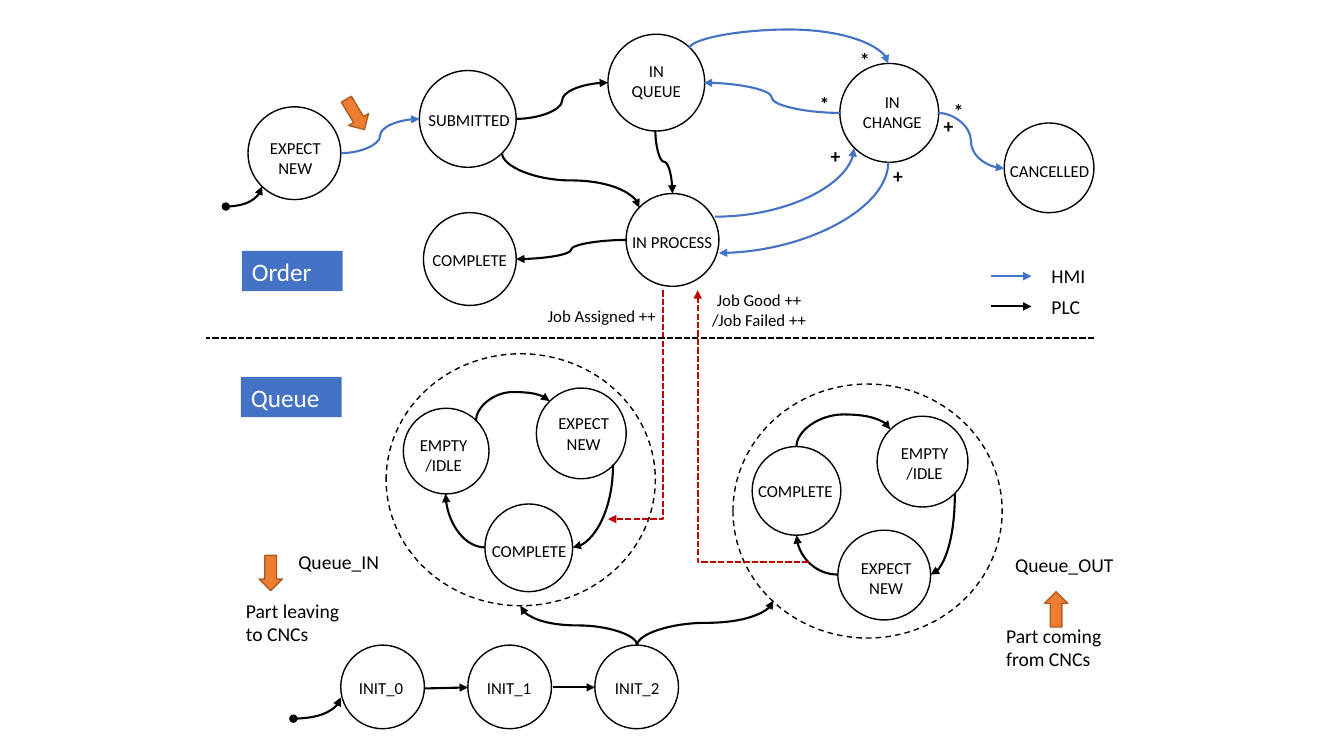
from dataclasses import dataclass
from typing import Optional

import lxml.etree
import pptx
import pptx.dml.color
import pptx.enum.dml
import pptx.enum.shapes
import pptx.enum.text
import pptx.oxml.ns
import pptx.shapes.autoshape
import pptx.slide
import pptx.util

Inches = pptx.util.Inches
Shape = pptx.enum.shapes.MSO_SHAPE
Joint = pptx.enum.shapes.MSO_CONNECTOR
Dash = pptx.enum.dml.MSO_LINE
Align = pptx.enum.text.PP_ALIGN
qn = pptx.oxml.ns.qn

COLORS = {"black": "000000", "white": "FFFFFF", "blue": "4472C4",
          "red": "C00000", "orange": "ED7D31", "rust": "AF5C24"}


@dataclass
class Ring:
    left: float
    top: float
    width: float
    height: float
    dashed: bool = False


@dataclass
class Label:
    text: str
    left: float
    top: float
    width: float
    height: float = 0.34
    size: int = 14
    color: str = "black"
    fill: Optional[str] = None
    bold: bool = False
    center: bool = False
    wrap: bool = True


@dataclass
class Link:
    start: tuple[float, float]
    end: tuple[float, float]
    kind: str = "line"
    color: str = "black"
    bend: float = 0.5
    upright: bool = False
    dot: bool = False
    tip: bool = True
    dash: bool = False


@dataclass
class Arrow:
    left: float
    top: float
    turn: float


def state(text: str, left: float, top: float, width: float = 0.76) -> Label:
    return Label(text, left, top, width, 0.5, 12, center=True)


def word(text: str, left: float, top: float, width: float = 0.95) -> Label:
    return Label(text, left, top, width, 0.3, 12, wrap=False)


def mark(text: str, left: float, top: float) -> Label:
    return Label(text, left, top, 0.41, bold=True)


NOTES = [
    Label("Job Good ++\n/Job Failed ++", 6.53, 2.82, 2, 0.5, 12, fill="white", center=True),
    Label("Job Assigned ++", 5.27, 2.98, 1.4, 0.3, 12, fill="white", center=True),
]
RINGS = [
    Ring(9.96, 1.22, 0.89, 0.89), Ring(4.2, 2.11, 0.92, 0.92), Ring(6.21, 1.92, 0.92, 0.92),
    Ring(4.16, 0.7, 0.96, 0.96), Ring(6.03, 0.34, 0.96, 0.96), Ring(8.33, 0.63, 0.98, 0.98),
    Ring(2.46, 1.06, 0.92, 0.92),
    Ring(7.27, 3.81, 2.67, 2.52, True), Ring(3.83, 3.51, 2.67, 2.5, True),
    Ring(4, 4.05, 0.85, 0.85), Ring(5.32, 3.85, 0.89, 0.9), Ring(4.81, 5, 0.87, 0.87),
    Ring(7.46, 4.43, 0.88, 0.88), Ring(8.7, 4.13, 0.9, 0.9), Ring(8.31, 5.26, 0.92, 0.89),
] + [Ring(3.38 + 1.26 * i, 6.4, 0.83, 0.83) for i in range(3)]
LINKS = [
    Link((2.24, 2.05), (2.6, 1.85), "curvedConnector2", dot=True),
    Link((3.38, 1.52), (4.16, 1.18), "curvedConnector3", "blue"),
    Link((5.12, 1.18), (6.03, 0.82), "curvedConnector3"),
    Link((4.98, 1.52), (6.34, 2.06), "curvedConnector3", upright=True),
    Link((6.84, 0.48), (8.81, 0.63), "curvedConnector3", "blue", -1.25, True),
    Link((9.3, 1.12), (9.96, 1.67), "curvedConnector3", "blue"),
    Link((8.33, 1.12), (6.98, 0.82), "curvedConnector3", "blue"),
    Link((6.5, 1.29), (6.67, 1.92), "curvedConnector3", upright=True),
    Link((7.09, 2.15), (8.47, 1.47), "curvedConnector2", "blue"),
    Link((8.81, 1.61), (7.13, 2.51), "curvedConnector2", "blue", upright=True),
    Link((6.21, 2.38), (5.12, 2.57), "curvedConnector3"),
    Link((2.91, 7.13), (3.38, 6.92), "curvedConnector2", dot=True),
    Link((4.21, 6.83), (4.64, 6.82)),
    Link((5.48, 6.82), (5.9, 6.82)),
    Link((4.72, 4.18), (5.45, 3.98), "curvedConnector3", bend=1.45, upright=True),
    Link((6.08, 4.61), (5.68, 5.43), "curvedConnector2", upright=True),
    Link((4.81, 5.43), (4.42, 4.9), "curvedConnector2"),
    Link((7.9, 4.43), (8.83, 4.26), "curvedConnector3", bend=1.87, upright=True),
    Link((9.47, 4.9), (9.23, 5.7), "curvedConnector2", upright=True),
    Link((8.31, 5.7), (7.9, 5.31), "curvedConnector2"),
    Link((6.32, 6.4), (7.67, 5.96), "curvedConnector3", upright=True),
    Link((6.32, 6.4), (5.16, 6.01), "curvedConnector3", upright=True),
    Link((6.58, 2.88), (6.03, 5.15), "bentConnector3", "red", 1, True, dash=True),
    Link((8.02, 5.58), (6.92, 2.88), "bentConnector3", "red", 0, True, dash=True),
    Link((10.85, 3.35), (2.04, 3.35), tip=False, dash=True),
    Link((9.83, 2.74), (10.23, 2.74), color="blue"),
    Link((9.83, 3.04), (10.23, 3.04)),
]
ARROWS = [Arrow(3.35, 1.02, 59.2), Arrow(2.51, 5.57, 90), Arrow(10.3, 5.93, 270)]
LABELS = [
    mark("*", 8.43, 0.43), mark("*", 8.03, 0.86), mark("*", 9.36, 0.93),
    mark("+", 8.76, 1.58), mark("+", 8.14, 1.38), mark("+", 9.26, 1.08),
    Label("Queue_OUT", 9.97, 5.44, 1.18), Label("Queue_IN", 2.86, 5.41, 1.09),
    Label("HMI", 10.33, 2.57, 0.69), Label("PLC", 10.33, 2.88, 0.69),
    Label("Order", 2.4, 2.49, 1, 0.4, 18, "white", "blue"),
    Label("Queue", 2.39, 3.74, 1, 0.4, 18, "white", "blue"),
    Label("Part leaving to CNCs", 2.34, 5.89, 1.18, 0.57),
    Label("Part coming from CNCs", 9.88, 6.14, 1.26, 0.57),
    word("SUBMITTED", 4.15, 1.04, 1.02), word("COMPLETE", 7.42, 4.72),
    word("COMPLETE", 4.19, 2.43), word("IN PROCESS", 6.17, 2.25, 1.01),
    word("COMPLETE", 4.78, 5.32),
    state("EXPECT NEW", 2.55, 1.32), state("IN QUEUE", 6.13, 0.55),
    state("IN CHANGE", 8.43, 0.86, 0.84),
    Label("CANCELLED", 9.81, 1.55, 1.2, 0.3, 12, center=True),
    state("EMPTY\n/IDLE", 4.02, 4.26), state("EMPTY\n/IDLE", 8.79, 4.34),
    state("EXPECT NEW", 5.41, 4.05), state("EXPECT NEW", 8.41, 5.48),
] + [Label(f"INIT_{i}", 3.4 + 1.27 * i, 6.67, 0.76, 0.3, 12, center=True) for i in range(3)]


def tint(name: str) -> pptx.dml.color.RGBColor:
    return pptx.dml.color.RGBColor.from_string(COLORS[name])


def add_form(slide: pptx.slide.Slide, kind: Shape, left: float, top: float, width: float,
             height: float, fill: Optional[str], line: Optional[str]) -> pptx.shapes.autoshape.Shape:
    form = slide.shapes.add_shape(kind, Inches(left), Inches(top), Inches(width), Inches(height))
    form.shadow.inherit = False
    if fill:
        form.fill.solid()
        form.fill.fore_color.rgb = tint(fill)
    else:
        form.fill.background()
    if line:
        form.line.color.rgb = tint(line)
        form.line.width = pptx.util.Pt(1)
    else:
        form.line.fill.background()
    return form


def add_ring(slide: pptx.slide.Slide, ring: Ring) -> None:
    form = add_form(slide, Shape.OVAL, ring.left, ring.top, ring.width, ring.height,
                    None if ring.dashed else "white", "black")
    if ring.dashed:
        form.line.dash_style = Dash.DASH


def add_label(slide: pptx.slide.Slide, label: Label) -> None:
    place = (label.left, label.top, label.width, label.height)
    if label.fill:
        box = add_form(slide, Shape.RECTANGLE, *place, label.fill, None)
    else:
        box = slide.shapes.add_textbox(*map(Inches, place))
    frame = box.text_frame
    frame.word_wrap = label.wrap
    frame.auto_size = pptx.enum.text.MSO_AUTO_SIZE.SHAPE_TO_FIT_TEXT
    frame.text = label.text
    for para in frame.paragraphs:
        para.alignment = Align.CENTER if label.center else Align.LEFT
        for run in para.runs:
            run.font.name = "Calibri"
            run.font.size = pptx.util.Pt(label.size)
            run.font.bold = label.bold
            run.font.color.rgb = tint(label.color)


def add_link(slide: pptx.slide.Slide, link: Link) -> None:
    wire = slide.shapes.add_connector(Joint.STRAIGHT, *map(Inches, link.start + link.end))
    wire.line.color.rgb = tint(link.color)
    wire.line.width = pptx.util.Pt(1.5)
    if link.dash:
        wire.line.dash_style = Dash.SQUARE_DOT
    props = wire._element.spPr
    edge = props.find(qn("a:ln"))
    if link.dot:
        lxml.etree.SubElement(edge, qn("a:headEnd"), type="oval")
    if link.tip:
        lxml.etree.SubElement(edge, qn("a:tailEnd"), type="triangle")
    lxml.etree.SubElement(props, qn("a:effectLst"))
    if link.kind != "line":
        route(wire, link)


def route(wire: pptx.shapes.connector.Connector, link: Link) -> None:
    (x1, y1), (x2, y2) = link.start, link.end
    wide, high = abs(x2 - x1), abs(y2 - y1)
    same = (x2 > x1) == (y2 > y1)
    if link.upright:
        wide, high = high, wide
        turn = 270 if same else 90
        flip_h = y2 > y1 if same else y2 < y1
        flip_v = y2 < y1
    else:
        turn = 0 if x2 > x1 else 180
        flip_h, flip_v = False, not same
    wire.left, wire.top = Inches((x1 + x2 - wide) / 2), Inches((y1 + y2 - high) / 2)
    wire.width, wire.height = Inches(wide), Inches(high)
    frame = wire._element.spPr.find(qn("a:xfrm"))
    for key, value in (("rot", turn * 60000), ("flipH", int(flip_h)), ("flipV", int(flip_v))):
        frame.set(key, str(value))
    geom = wire._element.spPr.find(qn("a:prstGeom"))
    geom.set("prst", link.kind)
    if link.kind.endswith("3"):
        lxml.etree.SubElement(geom.find(qn("a:avLst")), qn("a:gd"), name="adj1",
                              fmla=f"val {round(link.bend * 100000)}")


def main() -> None:
    deck = pptx.Presentation()
    deck.slide_width, deck.slide_height = Inches(13.33), Inches(7.5)
    slide = deck.slides.add_slide(deck.slide_layouts[6])
    for note in NOTES:
        add_label(slide, note)
    for ring in RINGS:
        add_ring(slide, ring)
    for link in LINKS:
        add_link(slide, link)
    for arrow in ARROWS:
        form = add_form(slide, Shape.RIGHT_ARROW, arrow.left, arrow.top, 0.35, 0.23, "orange", "rust")
        form.rotation = arrow.turn
    for label in LABELS:
        add_label(slide, label)
    deck.save("out.pptx")


if __name__ == "__main__":
    main()
